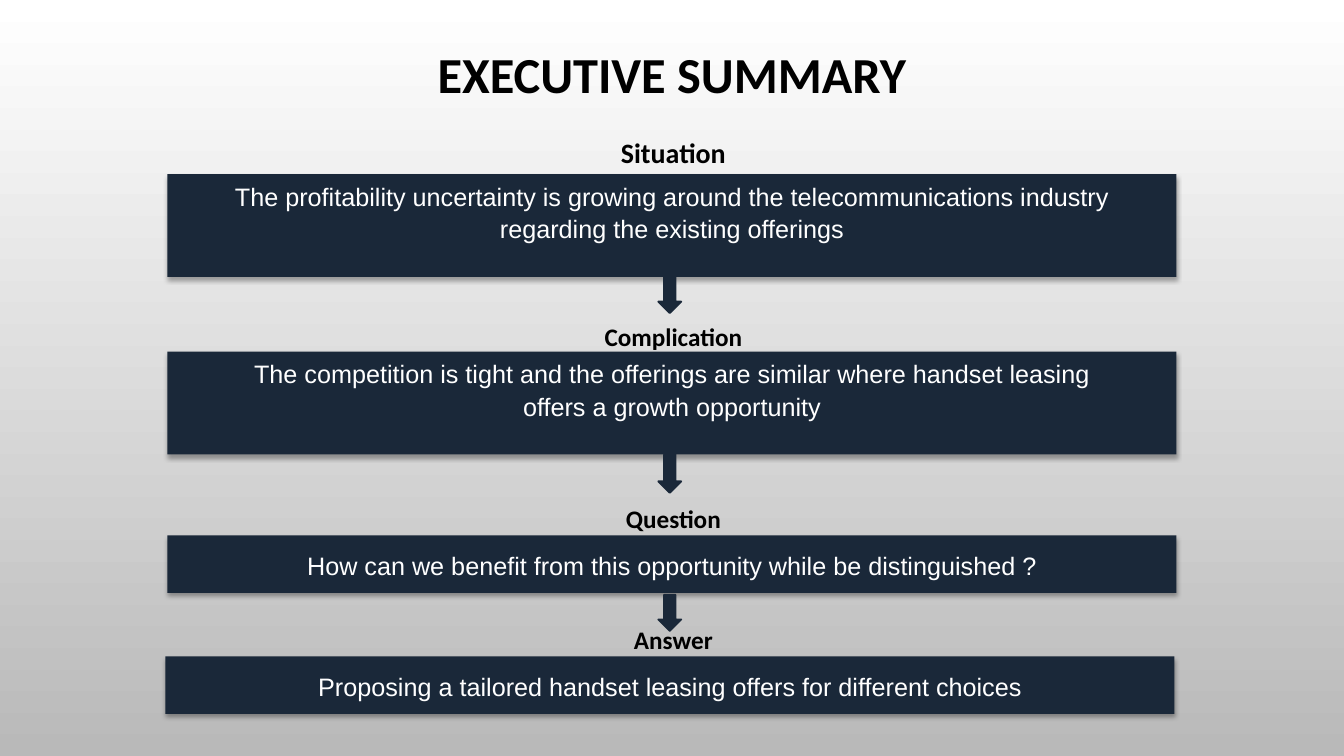
from dataclasses import dataclass

from lxml.etree import SubElement
from pptx import Presentation
from pptx.dml.color import RGBColor
from pptx.enum.shapes import MSO_SHAPE
from pptx.enum.text import MSO_ANCHOR, PP_ALIGN
from pptx.oxml.ns import qn
from pptx.util import Cm, Pt


@dataclass(frozen=True)
class Theme:
    navy: RGBColor = RGBColor(0x1A, 0x28, 0x39)
    black: RGBColor = RGBColor(0, 0, 0)
    white: RGBColor = RGBColor(255, 255, 255)
    gray: RGBColor = RGBColor(0xB9, 0xB9, 0xB9)
    heading_font: str = "Calibri"
    body_font: str = "Arial"
    title_size: int = 36
    lead_size: int = 20
    text_size: int = 18


@dataclass(frozen=True)
class Stage:
    heading: str
    lines: tuple
    heading_top: float
    left: float
    top: float
    height: float
    anchor: MSO_ANCHOR = MSO_ANCHOR.MIDDLE
    heading_size: int = Theme.text_size
    arrow_gap: float = 0
    arrow_height: float = 0


THEME = Theme()
SLIDE_WIDTH, SLIDE_HEIGHT = 33.87, 19.05
BOX_WIDTH = 25.43
ARROW_LEFT, ARROW_WIDTH = 16.59, 0.58
HEADING_LEFT, HEADING_WIDTH, HEADING_HEIGHT = 0.84, 32.26, 0.77

STAGES = (
    Stage("Situation",
          ("The profitability uncertainty is growing around the telecommunications industry",
           "regarding the existing offerings"),
          3.45, 4.22, 4.39, 2.59, MSO_ANCHOR.TOP, THEME.lead_size, 0, 0.91),
    Stage("Complication",
          ("The competition is tight and the offerings are similar where handset leasing",
           "offers a growth opportunity"),
          8.1, 4.22, 8.86, 2.59, MSO_ANCHOR.TOP, arrow_height=0.97),
    Stage("Question",
          ("How can we benefit from this opportunity while be distinguished ?",),
          12.67, 4.22, 13.49, 1.45, arrow_gap=0.05, arrow_height=0.91),
    Stage("Answer",
          ("Proposing a tailored handset leasing offers for different choices",),
          15.72, 4.17, 16.54, 1.45),
)


def write_text(shape, lines, *, font, size, color, bold=False,
               anchor=MSO_ANCHOR.MIDDLE, spacing=1.0):
    frame = shape.text_frame
    frame.word_wrap = True
    frame.vertical_anchor = anchor
    for index, line in enumerate(lines):
        paragraph = frame.add_paragraph() if index else frame.paragraphs[0]
        paragraph.alignment = PP_ALIGN.CENTER
        paragraph.line_spacing = spacing
        run = paragraph.add_run()
        run.text = line
        run.font.name = font
        run.font.size = Pt(size)
        run.font.bold = bold
        run.font.color.rgb = color


def add_heading(slide, text, left, top, width, height, size):
    shape = slide.shapes.add_textbox(Cm(left), Cm(top), Cm(width), Cm(height))
    frame = shape.text_frame
    frame.margin_top = frame.margin_bottom = 0
    write_text(shape, [text], font=THEME.heading_font, size=size,
               color=THEME.black, bold=True)


def add_navy_shape(slide, kind, left, top, width, height):
    shape = slide.shapes.add_shape(kind, Cm(left), Cm(top), Cm(width), Cm(height))
    shape.shadow.inherit = False
    shape.fill.solid()
    shape.fill.fore_color.rgb = THEME.navy
    return shape


def add_soft_shadow(shape):
    effects = shape.element.spPr.find(qn("a:effectLst"))
    shadow = SubElement(effects, qn("a:outerShdw"), blurRad=str(Pt(3.5)),
                        dist=str(Pt(2.2)), dir="5400000", algn="ctr", rotWithShape="0")
    color = SubElement(shadow, qn("a:srgbClr"), val=str(THEME.black))
    SubElement(color, qn("a:alpha"), val="32000")


def add_stage(slide, stage):
    box = add_navy_shape(slide, MSO_SHAPE.RECTANGLE,
                         stage.left, stage.top, BOX_WIDTH, stage.height)
    box.line.fill.background()
    add_soft_shadow(box)
    write_text(box, stage.lines, font=THEME.body_font, size=THEME.text_size,
               color=THEME.white, anchor=stage.anchor, spacing=1.07)
    if stage.arrow_height:
        arrow_top = stage.top + stage.height + stage.arrow_gap
        arrow = add_navy_shape(slide, MSO_SHAPE.DOWN_ARROW, ARROW_LEFT, arrow_top,
                               ARROW_WIDTH, stage.arrow_height)
        arrow.line.color.rgb = THEME.navy
        arrow.line.width = Pt(1.25)


def paint_background(slide):
    fill = slide.background.fill
    fill.gradient()
    fill.gradient_angle = 270
    for stop, color, position in zip(fill.gradient_stops, (THEME.white, THEME.gray), (0, 1)):
        stop.color.rgb = color
        stop.position = position


def build_summary(slide):
    paint_background(slide)
    add_heading(slide, "EXECUTIVE SUMMARY", 2.33, 0, 29.21, 3.68, THEME.title_size)
    for stage in STAGES:
        add_heading(slide, stage.heading, HEADING_LEFT, stage.heading_top,
                    HEADING_WIDTH, HEADING_HEIGHT, stage.heading_size)
    for stage in STAGES:
        add_stage(slide, stage)


def main():
    presentation = Presentation()
    presentation.slide_width = Cm(SLIDE_WIDTH)
    presentation.slide_height = Cm(SLIDE_HEIGHT)
    build_summary(presentation.slides.add_slide(presentation.slide_layouts[6]))
    presentation.save("out.pptx")


if __name__ == "__main__":
    main()
